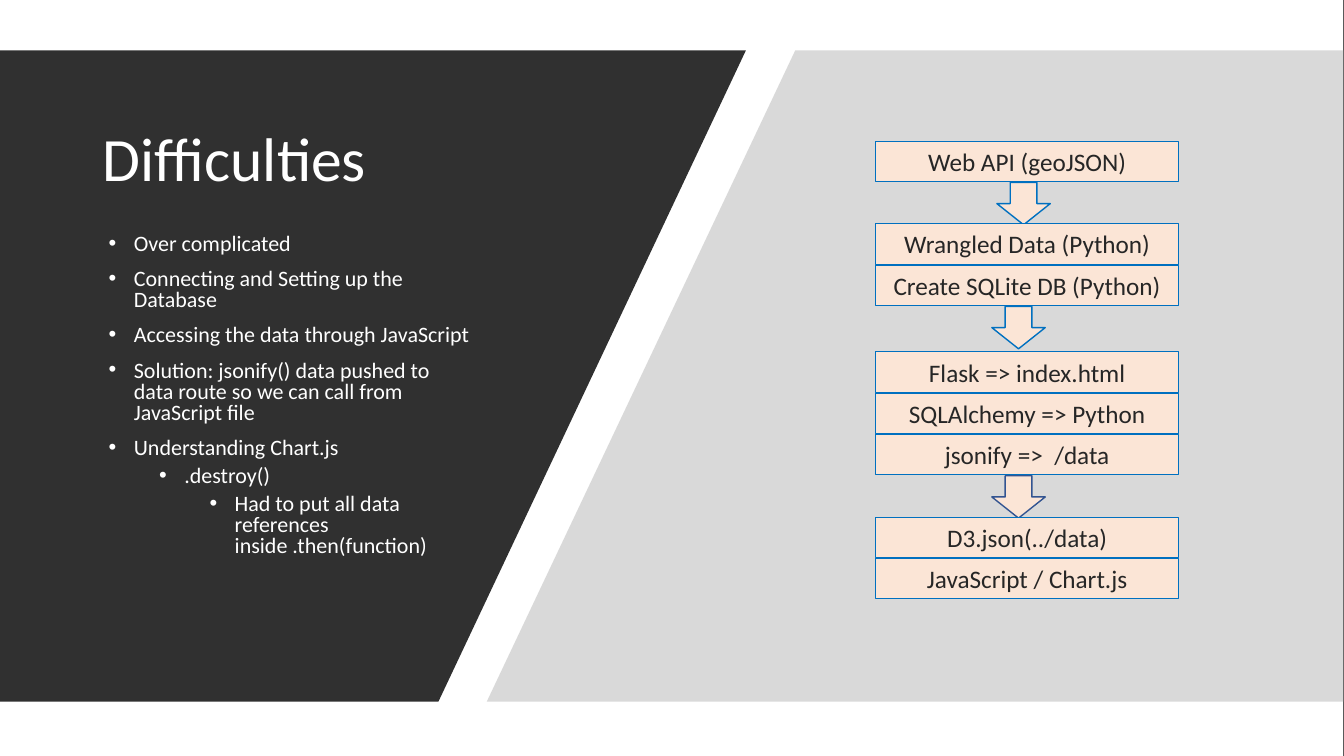
from dataclasses import dataclass

from lxml.etree import SubElement
from pptx import Presentation
from pptx.dml.color import RGBColor
from pptx.enum.shapes import MSO_SHAPE
from pptx.enum.text import MSO_ANCHOR, MSO_AUTO_SIZE, PP_ALIGN
from pptx.oxml.ns import qn
from pptx.util import Inches, Pt


@dataclass(frozen=True)
class Theme:
    """Colours, font and type sizes of the slide."""

    font: str = "Calibri"
    backdrop: str = "000000"
    paper: str = "FFFFFF"
    dark: str = "303030"
    grey: str = "B4B4B4"
    peach: str = "FBE5D6"
    blue: str = "0070C0"
    navy: str = "325491"
    ink: str = "262626"
    title_size: float = 44
    body_size: float = 15.7
    box_size: float = 18


def write(paragraph, text, *, font, size, color, align=PP_ALIGN.LEFT, spacing=1.0, before=0):
    """Put formatted text into a paragraph."""
    paragraph.alignment = align
    paragraph.line_spacing = spacing
    paragraph.space_before = Pt(before)
    run = paragraph.add_run()
    run.text = text
    run.font.name = font
    run.font.size = Pt(size)
    run.font.color.rgb = RGBColor.from_string(color)


def add_bullet(paragraph, level):
    """Give a paragraph a hanging bullet at its level."""
    paragraph.level = level
    properties = paragraph._p.get_or_add_pPr()
    properties.set("marL", str(Inches(0.31 + 0.5 * level)))
    properties.set("indent", str(Inches(-0.25)))
    SubElement(properties, qn("a:buFont"), typeface="Arial")
    SubElement(properties, qn("a:buChar"), char="•")


class SlideBuilder:
    """Draws themed elements on a slide grid of 40 columns and 30 rows."""

    COLUMNS = 40
    ROWS = 30

    def __init__(self, presentation, theme):
        """Add a title-only slide with the theme's background."""
        self.theme = theme
        self.column = presentation.slide_width / self.COLUMNS
        self.row = presentation.slide_height / self.ROWS
        self.slide = presentation.slides.add_slide(presentation.slide_layouts[5])
        background = self.slide.background.fill
        background.solid()
        background.fore_color.rgb = RGBColor.from_string(theme.backdrop)

    def place(self, left, top, width, height):
        """Turn grid units into slide lengths."""
        return (round(left * self.column), round(top * self.row),
                round(width * self.column), round(height * self.row))

    def paint(self, shape, fill, line=None, line_width=0.75):
        """Set a shape's fill and outline and drop its shadow."""
        shape.shadow.inherit = False
        shape.fill.solid()
        shape.fill.fore_color.rgb = RGBColor.from_string(fill)
        if line is None:
            shape.line.fill.background()
        else:
            shape.line.color.rgb = RGBColor.from_string(line)
            shape.line.width = Pt(line_width)

    def shape(self, kind, area, fill, line=None, line_width=0.75):
        """Add a painted preset shape."""
        shape = self.slide.shapes.add_shape(kind, *self.place(*area))
        self.paint(shape, fill, line, line_width)
        return shape

    def panel(self, corners, fill, opacity=None):
        """Add a polygon panel."""
        points = [(round(x * self.column), round(y * self.row)) for x, y in corners]
        builder = self.slide.shapes.build_freeform(*points[0])
        builder.add_line_segments(points[1:], close=True)
        panel = builder.convert_to_shape()
        self.paint(panel, fill)
        if opacity is not None:
            color = next(panel.element.iter(qn("a:srgbClr")))
            SubElement(color, qn("a:alpha"), val=str(opacity * 1000))

    def title(self, text, area):
        """Format the title placeholder and bring it to the front."""
        title = self.slide.shapes.title
        title.left, title.top, title.width, title.height = self.place(*area)
        title.element.getparent().append(title.element)
        frame = title.text_frame
        frame.word_wrap = True
        frame.auto_size = MSO_AUTO_SIZE.NONE
        frame.vertical_anchor = MSO_ANCHOR.MIDDLE
        write(frame.paragraphs[0], text, font=self.theme.font, size=self.theme.title_size,
              color=self.theme.paper, spacing=0.9)

    def bullets(self, items, area):
        """Add a bulleted list of level and text pairs."""
        frame = self.slide.shapes.add_textbox(*self.place(*area)).text_frame
        frame.word_wrap = True
        for index, (level, text) in enumerate(items):
            paragraph = frame.add_paragraph() if index else frame.paragraphs[0]
            write(paragraph, text, font=self.theme.font, size=self.theme.body_size,
                  color=self.theme.paper, spacing=0.8, before=5 if level else 10)
            add_bullet(paragraph, level)

    def box(self, text, area):
        """Add a labelled step box."""
        box = self.shape(MSO_SHAPE.RECTANGLE, area, self.theme.peach, self.theme.blue)
        frame = box.text_frame
        frame.word_wrap = True
        frame.vertical_anchor = MSO_ANCHOR.MIDDLE
        write(frame.paragraphs[0], text, font=self.theme.font, size=self.theme.box_size,
              color=self.theme.ink, align=PP_ALIGN.CENTER)

    def stage(self, top, labels, arrow_left=None, arrow_line=None):
        """Stack step boxes and end them with an optional arrow."""
        pitch = 1.64
        for index, label in enumerate(labels):
            self.box(label, (26.07, top + index * pitch, 9, 1.6))
        if arrow_left is not None:
            self.shape(MSO_SHAPE.DOWN_ARROW, (arrow_left, top + len(labels) * pitch, 1.59, 1.68),
                       self.theme.peach, arrow_line, 1)


def main():
    """Build and save the slide."""
    presentation = Presentation()
    presentation.slide_width = Inches(13.33)
    presentation.slide_height = Inches(7.5)
    theme = Theme()
    builder = SlideBuilder(presentation, theme)

    builder.shape(MSO_SHAPE.RECTANGLE, (0, 0, 39.98, 30), theme.paper)
    top, bottom = 2, 27.84
    builder.panel([(23.67, top), (39.98, top), (39.98, bottom), (14.49, bottom)], theme.grey, 50)
    builder.panel([(0, top), (22.2, top), (13.05, bottom), (0, bottom)], theme.dark)

    builder.title("Difficulties", (2.76, 4, 14.04, 4.8))
    builder.bullets([
        (0, "Over complicated"),
        (0, "Connecting and Setting up the Database"),
        (0, "Accessing the data through JavaScript"),
        (0, "Solution: jsonify() data pushed to data route so we can call from JavaScript file"),
        (0, "Understanding Chart.js"),
        (1, ".destroy()"),
        (2, "Had to put all data references inside .then(function)"),
    ], (2.76, 9.12, 11.55, 14.64))

    builder.stage(5.6, ["Web API (geoJSON)"], 29.67, theme.blue)
    builder.stage(8.88, ["Wrangled Data (Python)", "Create SQLite DB (Python)"], 29.52, theme.blue)
    builder.stage(13.96, ["Flask => index.html", "SQLAlchemy => Python", "jsonify =>  /data"],
                  29.52, theme.navy)
    builder.stage(20.52, ["D3.json(../data)", "JavaScript / Chart.js"])

    presentation.save("out.pptx")


if __name__ == "__main__":
    main()
